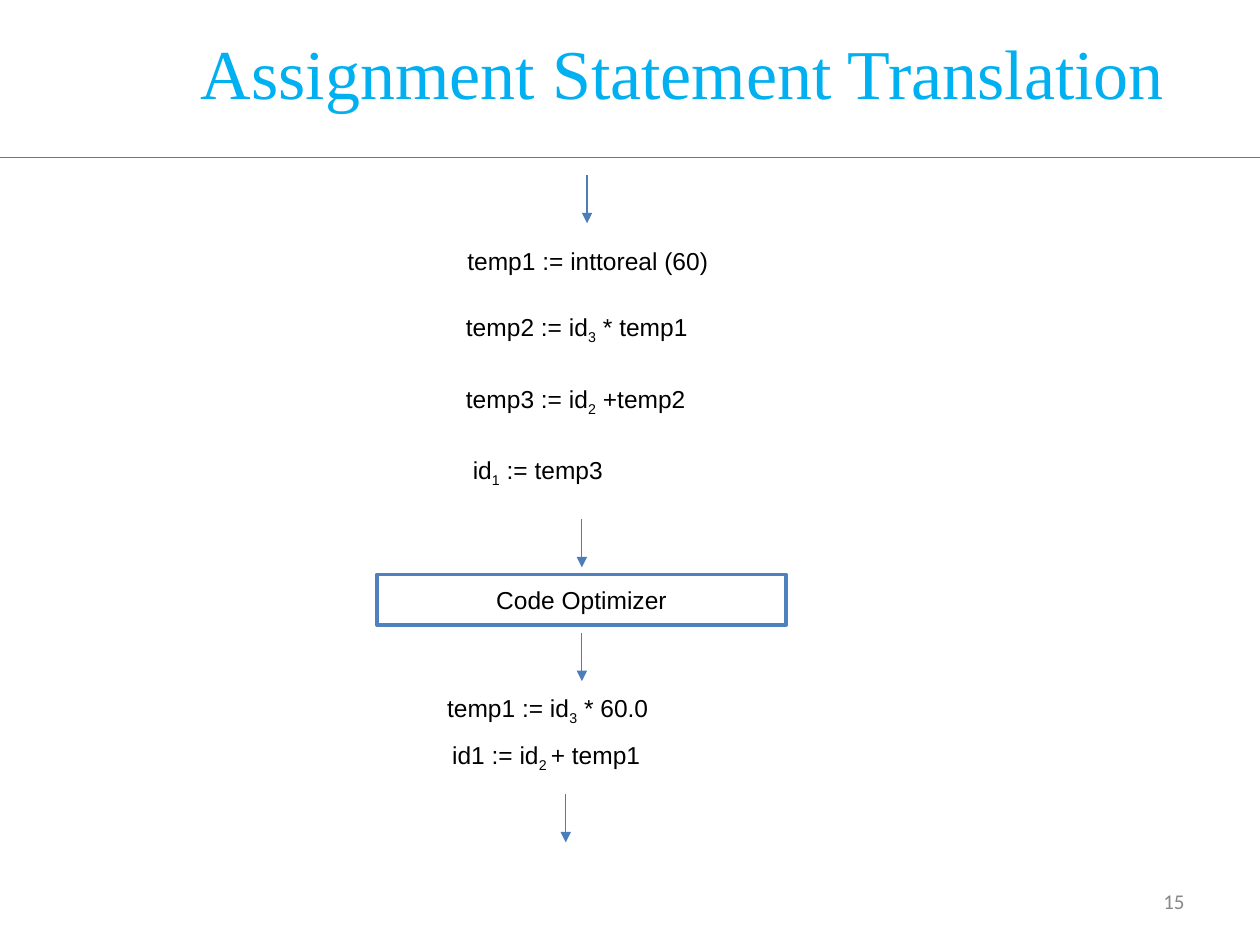
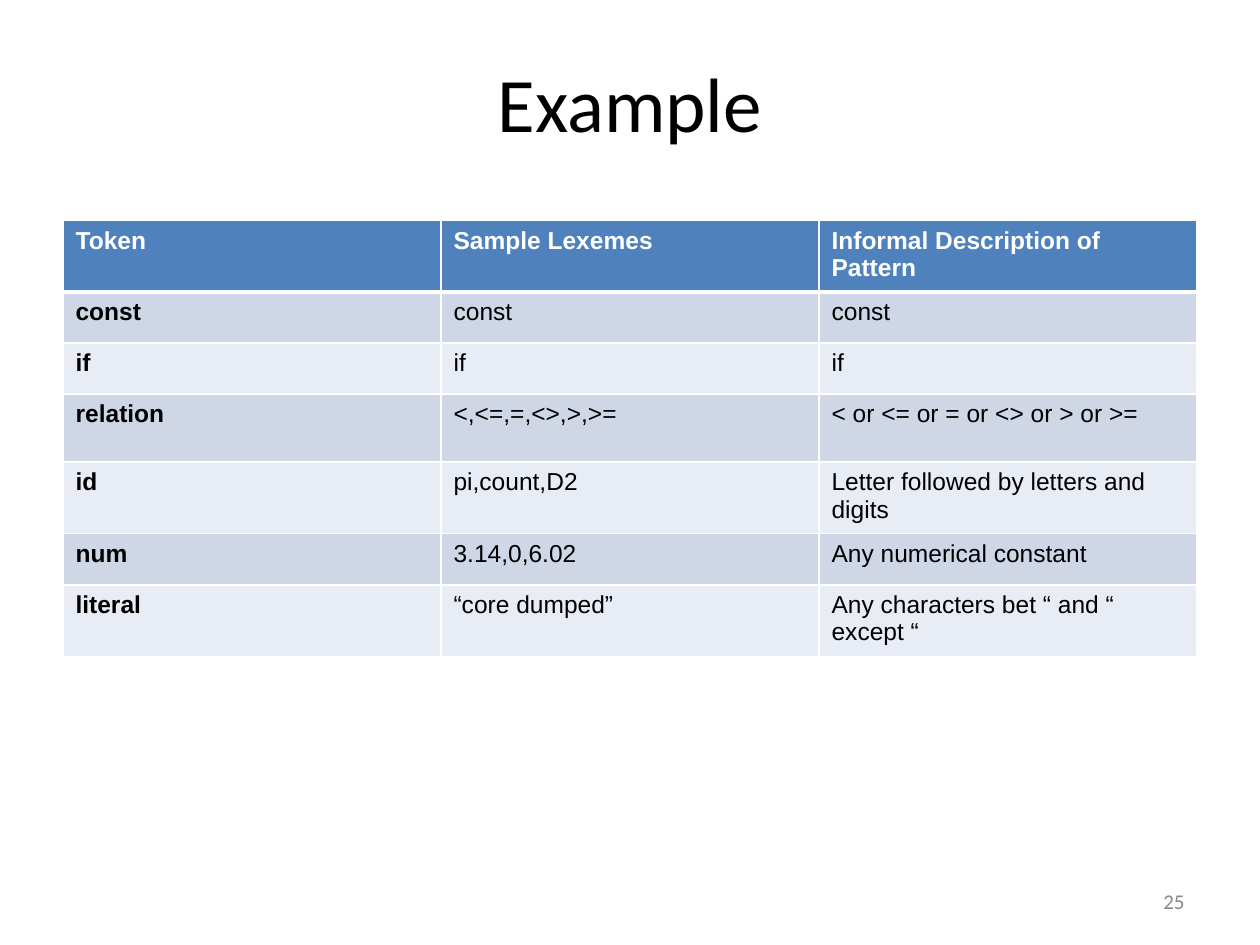
"""Build two compiler slides: assignment translation and a token table."""
from dataclasses import dataclass

from lxml import etree
from pptx import Presentation
from pptx.dml.color import RGBColor
from pptx.enum.shapes import MSO_CONNECTOR, MSO_SHAPE
from pptx.enum.text import MSO_ANCHOR, PP_ALIGN
from pptx.oxml.ns import qn
from pptx.slide import Slide
from pptx.table import _Cell
from pptx.text.text import TextFrame
from pptx.util import Pt

STRAIGHT = MSO_CONNECTOR.STRAIGHT
RECTANGLE = MSO_SHAPE.RECTANGLE
TOP, MIDDLE = MSO_ANCHOR.TOP, MSO_ANCHOR.MIDDLE
LEFT, CENTER, RIGHT = PP_ALIGN.LEFT, PP_ALIGN.CENTER, PP_ALIGN.RIGHT


@dataclass(frozen=True)
class TextStyle:
    """Look and placement of one kind of text."""
    font: str
    size: float
    color: str
    bold: bool = False
    align: PP_ALIGN = LEFT
    anchor: MSO_ANCHOR = TOP


@dataclass(frozen=True)
class Theme:
    """Colours and text styles of the deck."""
    white: str = "FFFFFF"
    accent: str = "4F81BD"
    rule: str = "4A7DBA"
    bands: tuple[str, str] = ("CFD7E7", "E8ECF4")
    statement_title: TextStyle = TextStyle("Times New Roman", 40, "00B0F0", align=CENTER, anchor=MIDDLE)
    example_title: TextStyle = TextStyle("Calibri", 44, "000000", align=CENTER, anchor=MIDDLE)
    code: TextStyle = TextStyle("Arial", 14, "000000")
    phase: TextStyle = TextStyle("Arial", 14, "000000", align=CENTER, anchor=MIDDLE)
    header: TextStyle = TextStyle("Arial", 14, "FFFFFF", bold=True)
    token: TextStyle = TextStyle("Arial", 14, "000000", bold=True)
    page: TextStyle = TextStyle("Calibri", 12, "888888", align=RIGHT, anchor=MIDDLE)


@dataclass(frozen=True)
class Box:
    """Position and size in points."""
    left: float
    top: float
    width: float
    height: float

    def lengths(self) -> tuple[Pt, Pt, Pt, Pt]:
        """Return the four lengths for a shape call."""
        return Pt(self.left), Pt(self.top), Pt(self.width), Pt(self.height)


@dataclass(frozen=True)
class CodeLine:
    """One statement, with an optional subscript between two parts."""
    left: float
    top: float
    start: str
    subscript: str = ""
    rest: str = ""


@dataclass(frozen=True)
class FlowArrow:
    """A downward arrow of fixed length."""
    x: float
    top: float


THEME = Theme()
SLIDE_WIDTH, SLIDE_HEIGHT = 720, 540
INSET = 7.2
TITLE_SHIFT = 60
ARROW_LENGTH = 27.6
PAGE_BOX = Box(516, 500.4, 168, 28.8)
OPTIMIZER_BOX = Box(215.3, 328.3, 234, 28.8)
CODE_LINES = (
    CodeLine(260, 136.8, "temp1 := inttoreal (60)"),
    CodeLine(259.2, 174.5, "temp2 := id", "3", " * temp1"),
    CodeLine(259.2, 216, "temp3 := id", "2", " +temp2"),
    CodeLine(263.1, 256.3, "id", "1", " := temp3"),
    CodeLine(248.4, 392.4, "temp1 := id", "3", " * 60.0"),
    CodeLine(251.3, 419.3, "id1 := id", "2 ", "+ temp1"),
)
ARROWS = (
    FlowArrow(335.5, 100),
    FlowArrow(332.5, 296.6),
    FlowArrow(332.5, 361.6),
    FlowArrow(323.3, 453.8),
)
TABLE_LEFT, TABLE_TOP, COLUMN_WIDTH = 36, 126, 216
SHORT_ROW, TALL_ROW = 29.2, 38.9
TOKEN_ROWS = (
    (TALL_ROW, ("Token", "Sample Lexemes", "Informal Description of Pattern")),
    (SHORT_ROW, ("const", "const", "const")),
    (SHORT_ROW, ("if", "if", "if")),
    (TALL_ROW, ("relation", "<,<=,=,<>,>,>=", "< or <= or = or <> or > or >=")),
    (TALL_ROW, ("id", "pi,count,D2", "Letter followed by letters and digits")),
    (SHORT_ROW, ("num", "3.14,0,6.02", "Any numerical constant")),
    (TALL_ROW, ("literal", "“core dumped”", "Any characters bet “ and “ except “")),
)


def write(frame: TextFrame, style: TextStyle, *parts: str) -> None:
    """Write the parts in one paragraph, lowering every second one."""
    paragraph = frame.paragraphs[0]
    paragraph.alignment = style.align
    formats = {"name": style.font, "size": Pt(style.size), "bold": style.bold}
    for index, part in enumerate(parts):
        if not part:
            continue
        run = paragraph.add_run()
        run.text = part
        for attribute, value in formats.items():
            setattr(run.font, attribute, value)
        run.font.color.rgb = RGBColor.from_string(style.color)
        if index % 2:
            run._r.get_or_add_rPr().set("baseline", "-25000")


def fit_frame(frame: TextFrame, style: TextStyle, inset_left: float = INSET) -> None:
    """Set wrapping, anchor and insets of a text frame."""
    formats = {
        "word_wrap": True, "vertical_anchor": style.anchor,
        "margin_left": Pt(inset_left), "margin_right": Pt(INSET),
        "margin_top": Pt(INSET / 2), "margin_bottom": Pt(INSET / 2),
    }
    for attribute, value in formats.items():
        setattr(frame, attribute, value)


def add_text(slide: Slide, box: Box, style: TextStyle, *parts: str, inset_left: float = INSET) -> None:
    """Add a text box."""
    frame = slide.shapes.add_textbox(*box.lengths()).text_frame
    fit_frame(frame, style, inset_left)
    write(frame, style, *parts)


def add_line(slide: Slide, start: tuple[float, float], end: tuple[float, float], arrow: bool = False) -> None:
    """Add a thin line, with an arrowhead at its end if asked."""
    connector = slide.shapes.add_connector(STRAIGHT, *map(Pt, start + end))
    connector.line.width = Pt(0.75)
    connector.line.color.rgb = RGBColor.from_string(THEME.rule)
    if arrow:
        etree.SubElement(connector.line._get_or_add_ln(), qn("a:tailEnd"), type="triangle")
    etree.SubElement(connector._element.spPr, qn("a:effectLst"))


def add_phase(slide: Slide, box: Box, label: str) -> None:
    """Add the outlined box of a compiler phase."""
    phase = slide.shapes.add_shape(RECTANGLE, *box.lengths())
    phase.shadow.inherit = False
    phase.fill.solid()
    phase.fill.fore_color.rgb = RGBColor.from_string(THEME.white)
    phase.line.color.rgb = RGBColor.from_string(THEME.accent)
    phase.line.width = Pt(2)
    fit_frame(phase.text_frame, THEME.phase)
    write(phase.text_frame, THEME.phase, label)


def paint_cell(cell: _Cell, fill: str, top: float, bottom: float) -> None:
    """Give a cell white borders and a solid fill."""
    properties = cell._tc.get_or_add_tcPr()
    for side, width in {"lnL": 1, "lnR": 1, "lnT": top, "lnB": bottom}.items():
        border = etree.SubElement(properties, qn(f"a:{side}"), w=str(Pt(width)))
        solid = etree.SubElement(border, qn("a:solidFill"))
        etree.SubElement(solid, qn("a:srgbClr"), val=THEME.white)
    cell.fill.solid()
    cell.fill.fore_color.rgb = RGBColor.from_string(fill)


def add_token_table(slide: Slide) -> None:
    """Add the table of tokens, lexemes and patterns."""
    column_count = len(TOKEN_ROWS[0][1])
    box = Box(TABLE_LEFT, TABLE_TOP, COLUMN_WIDTH * column_count, sum(height for height, _ in TOKEN_ROWS))
    table = slide.shapes.add_table(len(TOKEN_ROWS), column_count, *box.lengths()).table
    for column in table.columns:
        column.width = Pt(COLUMN_WIDTH)
    for row, (height, texts) in enumerate(TOKEN_ROWS):
        table.rows[row].height = Pt(height)
        fill = THEME.bands[(row - 1) % 2] if row else THEME.accent
        for column, text in enumerate(texts):
            cell = table.cell(row, column)
            paint_cell(cell, fill, 3 if row == 1 else 1, 1 if row else 3)
            body = THEME.code if column else THEME.token
            write(cell.text_frame, body if row else THEME.header, text)


def add_page(deck: Presentation, number: int) -> Slide:
    """Add a blank slide with its page number."""
    slide = deck.slides.add_slide(deck.slide_layouts[6])
    add_text(slide, PAGE_BOX, THEME.page, str(number))
    return slide


def build_translation(deck: Presentation) -> None:
    """Build the slide on assignment statement translation."""
    slide = add_page(deck, 15)
    add_text(slide, Box(36, 21.6, 648, 38.2), THEME.statement_title,
             "Assignment Statement Translation", inset_left=INSET + TITLE_SHIFT)
    add_line(slide, (0, 90), (SLIDE_WIDTH, 90))
    for arrow in ARROWS:
        add_line(slide, (arrow.x, arrow.top), (arrow.x, arrow.top + ARROW_LENGTH), arrow=True)
    add_phase(slide, OPTIMIZER_BOX, "Code Optimizer")
    for line in CODE_LINES:
        add_text(slide, Box(line.left, line.top, 222, 24.5), THEME.code, line.start, line.subscript, line.rest)


def build_example(deck: Presentation) -> None:
    """Build the slide with the token table."""
    slide = add_page(deck, 25)
    add_text(slide, Box(36, 13, 648, 90), THEME.example_title, "Example")
    add_token_table(slide)


def main() -> None:
    """Build and save the deck."""
    deck = Presentation()
    deck.slide_width, deck.slide_height = Pt(SLIDE_WIDTH), Pt(SLIDE_HEIGHT)
    build_translation(deck)
    build_example(deck)
    deck.save("out.pptx")


if __name__ == "__main__":
    main()
